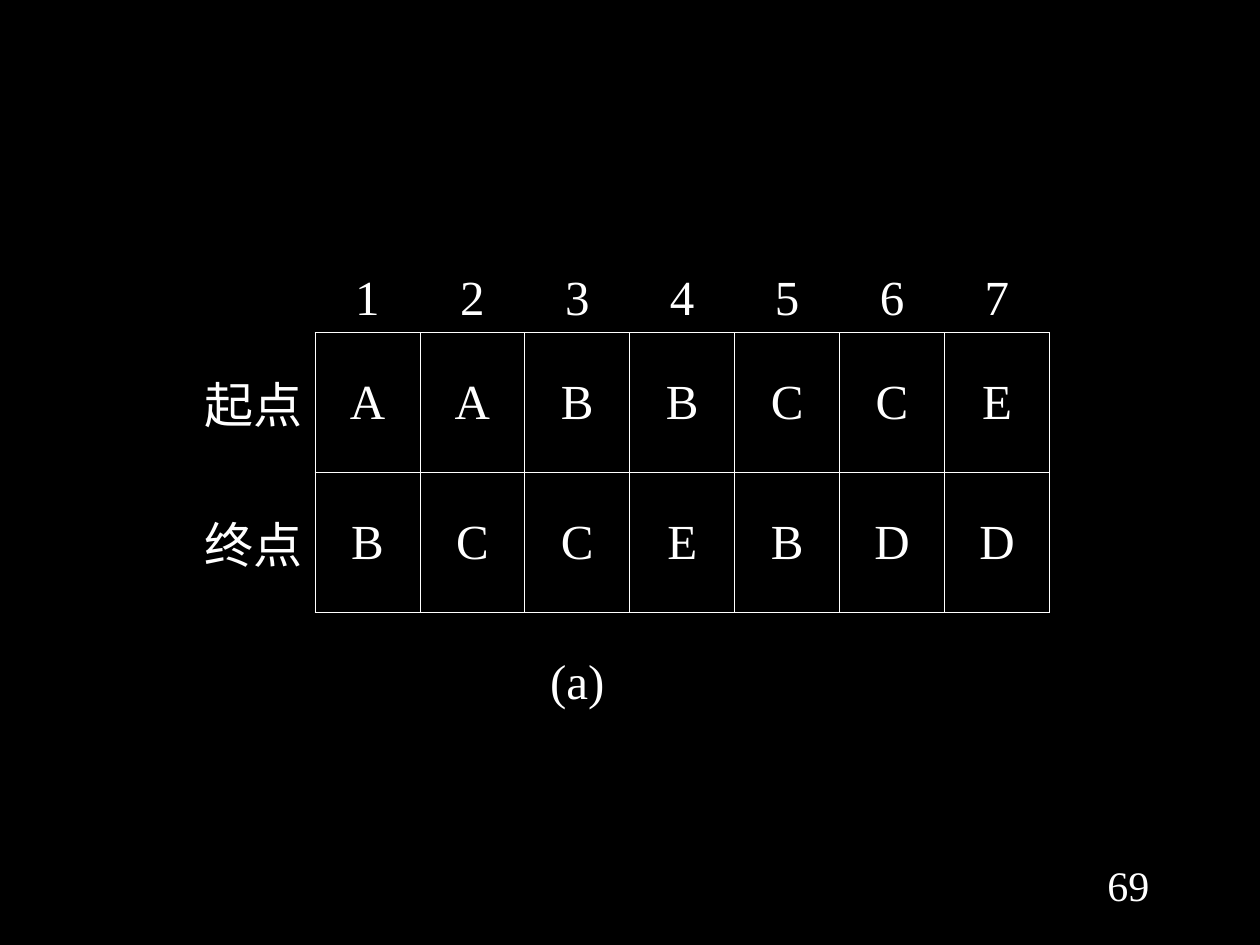
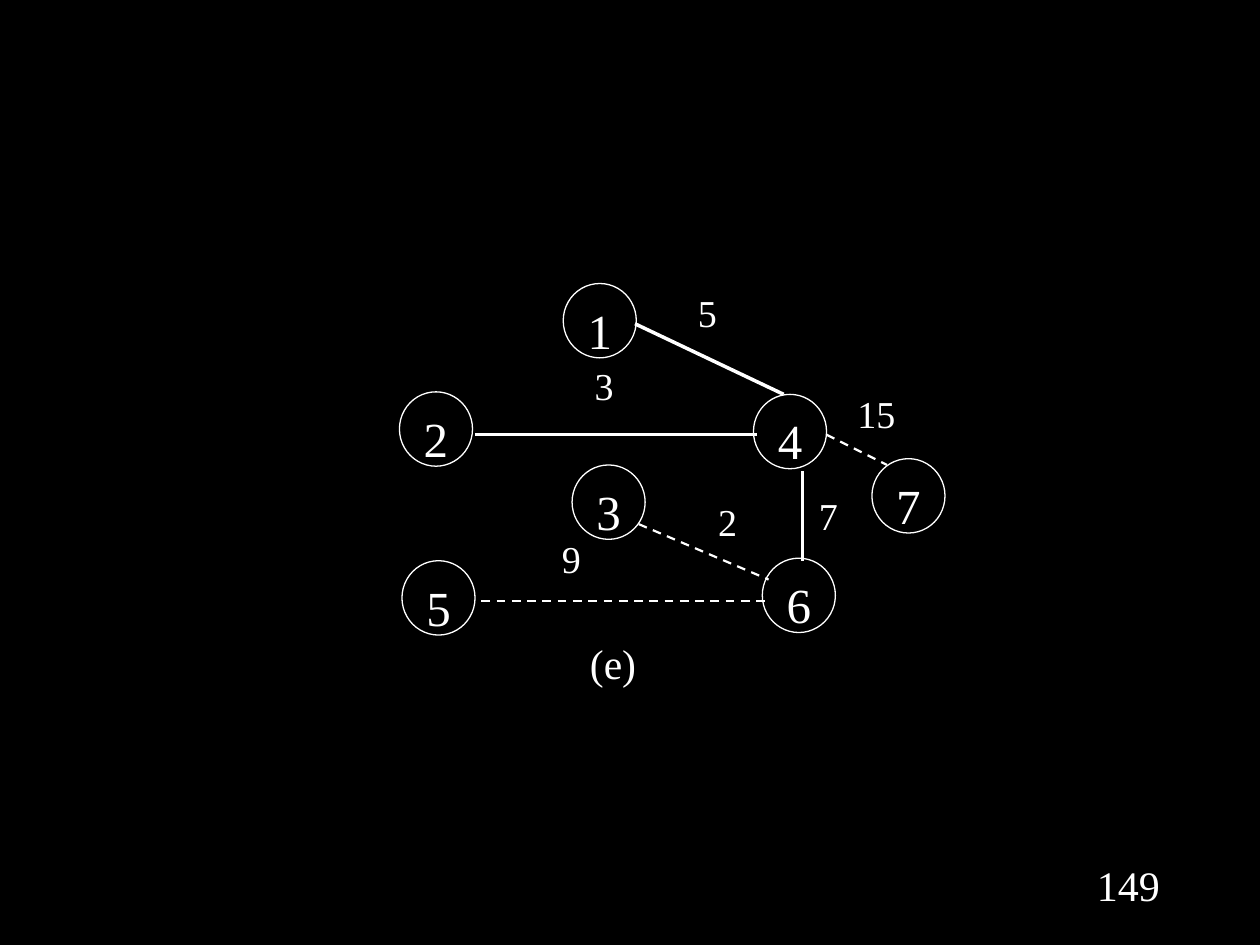
import dataclasses

import pptx
import pptx.dml.color
import pptx.enum.dml
import pptx.enum.shapes
import pptx.enum.text
import pptx.oxml
import pptx.oxml.ns
import pptx.util

ALIGN = pptx.enum.text.PP_ALIGN
ANCHOR = pptx.enum.text.MSO_ANCHOR
SHAPE = pptx.enum.shapes.MSO_SHAPE


@dataclasses.dataclass(frozen=True)
class Theme:
    back: str = "000000"
    ink: str = "FFFFFF"
    font: str = "Times New Roman"
    main_size: float = 28
    number_size: float = 24
    caption_size: float = 23.8
    weight_size: float = 21.7
    node_line: float = 0.75
    chosen_line: float = 2
    candidate_line: float = 1.25
    table_line: float = 0.45
    table_edge: float = 1.08


class Deck:
    """Lengths are cells of a grid of 100 columns by 75 rows."""

    COLUMNS, ROWS = 100, 75

    def __init__(self, theme):
        self.theme = theme
        self.prs = pptx.Presentation()
        self.prs.slide_width = pptx.util.Inches(10)
        self.prs.slide_height = pptx.util.Inches(7.5)
        fill = self.prs.slide_master.background.fill
        fill.solid()
        fill.fore_color.rgb = self.rgb(theme.back)

    @staticmethod
    def rgb(value):
        return pptx.dml.color.RGBColor.from_string(value)

    def col(self, n):
        return round(self.prs.slide_width * n / self.COLUMNS)

    def row(self, n):
        return round(self.prs.slide_height * n / self.ROWS)

    def box(self, x, y, w, h):
        return self.col(x), self.row(y), self.col(w), self.row(h)

    def slide(self, number):
        self.s = self.prs.slides.add_slide(self.prs.slide_layouts[6])
        self.text(number, (85.8, 67.3, 7.5, 5), self.theme.number_size,
                  insets=(1, 0.9))

    def set_text(self, tf, text, size, align=ALIGN.CENTER):
        p = tf.paragraphs[0]
        p.text = text
        p.alignment = align
        p.font.name = self.theme.font
        p.font.size = pptx.util.Pt(size)
        p.font.color.rgb = self.rgb(self.theme.ink)
        return p

    def frame(self, sp, text, size, insets):
        """Put text in a shape; insets are columns at the sides, rows on top."""
        tf = sp.text_frame
        tf.word_wrap = True
        tf.vertical_anchor = ANCHOR.TOP
        tf.margin_left = tf.margin_right = self.col(insets[0])
        tf.margin_top = self.row(insets[1])
        tf.margin_bottom = 0
        return self.set_text(tf, text, size)

    def text(self, text, place, size, spacing=1.0, insets=(0, 0.2)):
        sp = self.s.shapes.add_textbox(*self.box(*place))
        self.frame(sp, text, size, insets).line_spacing = spacing

    def node(self, label, x, y):
        sp = self.s.shapes.add_shape(SHAPE.OVAL, *self.box(x, y, 5.8, 5.9))
        sp.shadow.inherit = False
        sp.fill.background()
        sp.line.color.rgb = self.rgb(self.theme.ink)
        sp.line.width = pptx.util.Pt(self.theme.node_line)
        self.frame(sp, label, self.theme.main_size, (0, 0.45))

    def edge(self, x1, y1, x2, y2, chosen):
        line = self.s.shapes.add_connector(
            pptx.enum.shapes.MSO_CONNECTOR.STRAIGHT,
            self.col(x1), self.row(y1), self.col(x2), self.row(y2))
        line._element.spPr.append(
            pptx.oxml.parse_xml(f'<a:effectLst {pptx.oxml.ns.nsdecls("a")}/>'))
        line.line.color.rgb = self.rgb(self.theme.ink)
        if chosen:
            line.line.width = pptx.util.Pt(self.theme.chosen_line)
        else:
            line.line.width = pptx.util.Pt(self.theme.candidate_line)
            line.line.dash_style = pptx.enum.dml.MSO_LINE.DASH

    def border(self, cell, widths):
        """Set left, right, top and bottom lines in points; 0 hides one."""
        tc_pr = cell._tc.get_or_add_tcPr()
        for i, (side, width) in enumerate(zip("LRTB", widths)):
            paint = (f'<a:solidFill><a:srgbClr val="{self.theme.ink}"/>'
                     '</a:solidFill>' if width else '<a:noFill/>')
            tc_pr.insert(i, pptx.oxml.parse_xml(
                f'<a:ln{side} {pptx.oxml.ns.nsdecls("a")} '
                f'w="{pptx.util.Pt(width)}">{paint}</a:ln{side}>'))

    def edge_table(self, rows, place, col_widths, row_height):
        """Draw a table that is ruled only around its start and end rows."""
        n = len(col_widths)
        table = self.s.shapes.add_table(len(rows), n, *self.box(*place)).table
        table.first_row = table.horz_banding = False
        for column, width in zip(table.columns, col_widths):
            column.width = self.col(width)

        def ruled(r, c):
            return r in (1, 2) and 1 <= c < n

        for r, texts in enumerate(rows):
            table.rows[r].height = self.row(row_height)
            for c, text in enumerate(texts):
                cell = table.cell(r, c)
                cell.fill.background()
                neighbours = ((r, c - 1), (r, c + 1), (r - 1, c), (r + 1, c))
                widths = [self.theme.table_line
                          if ruled(r, c) or ruled(*near) else 0
                          for near in neighbours]
                if ruled(r, c) and c == n - 1:
                    widths[1] = self.theme.table_edge
                self.border(cell, widths)
                cell.vertical_anchor = ANCHOR.MIDDLE if r else ANCHOR.BOTTOM
                if text:
                    self.set_text(cell.text_frame, text, self.theme.main_size,
                                  ALIGN.CENTER if c else ALIGN.RIGHT)


def edge_list_slide(deck):
    deck.slide("69")
    rows = [
        ["", *"1234567"],
        ["起点", *"AABBCCE"],
        ["终点", *"BCCEBDD"],
        ["", "", "", "(a)", "", "", "", ""],
    ]
    deck.edge_table(rows, (12.5, 15.3, 70.83, 44.44),
                    [12.5] + [8.33] * 7, 11.11)


def spanning_tree_slide(deck):
    deck.slide("149")
    weights = [("9", 42.7, 43), ("7", 63.1, 39.6), ("2", 55.1, 40.1),
               ("15", 66.9, 31.5), ("3", 45.3, 29.3), ("5", 53.5, 23.5)]
    for weight, x, y in weights:
        deck.text(weight, (x, y, 5.3, 3.9), deck.theme.weight_size, 0.8)

    nodes = [("1", 44.7, 22.5), ("2", 31.7, 31.1), ("7", 69.2, 36.4),
             ("4", 59.8, 31.3), ("5", 31.9, 44.5), ("3", 45.4, 36.9),
             ("6", 60.5, 44.3)]
    for node in nodes:
        deck.node(*node)

    chosen = [(50.4, 25.7, 62.2, 31.3), (63.7, 37.4, 63.7, 44.5),
              (37.7, 34.5, 60.1, 34.5)]
    candidates = [(50.7, 41.6, 61, 46), (65.6, 34.5, 70.4, 36.9),
                  (38.2, 47.7, 61, 47.7)]
    for ends in chosen:
        deck.edge(*ends, chosen=True)
    for ends in candidates:
        deck.edge(*ends, chosen=False)
    deck.text("(e)", (44.1, 50.9, 9.1, 4.1), deck.theme.caption_size, 0.9)


def main():
    deck = Deck(Theme())
    edge_list_slide(deck)
    spanning_tree_slide(deck)
    deck.prs.save("out.pptx")


if __name__ == "__main__":
    main()
